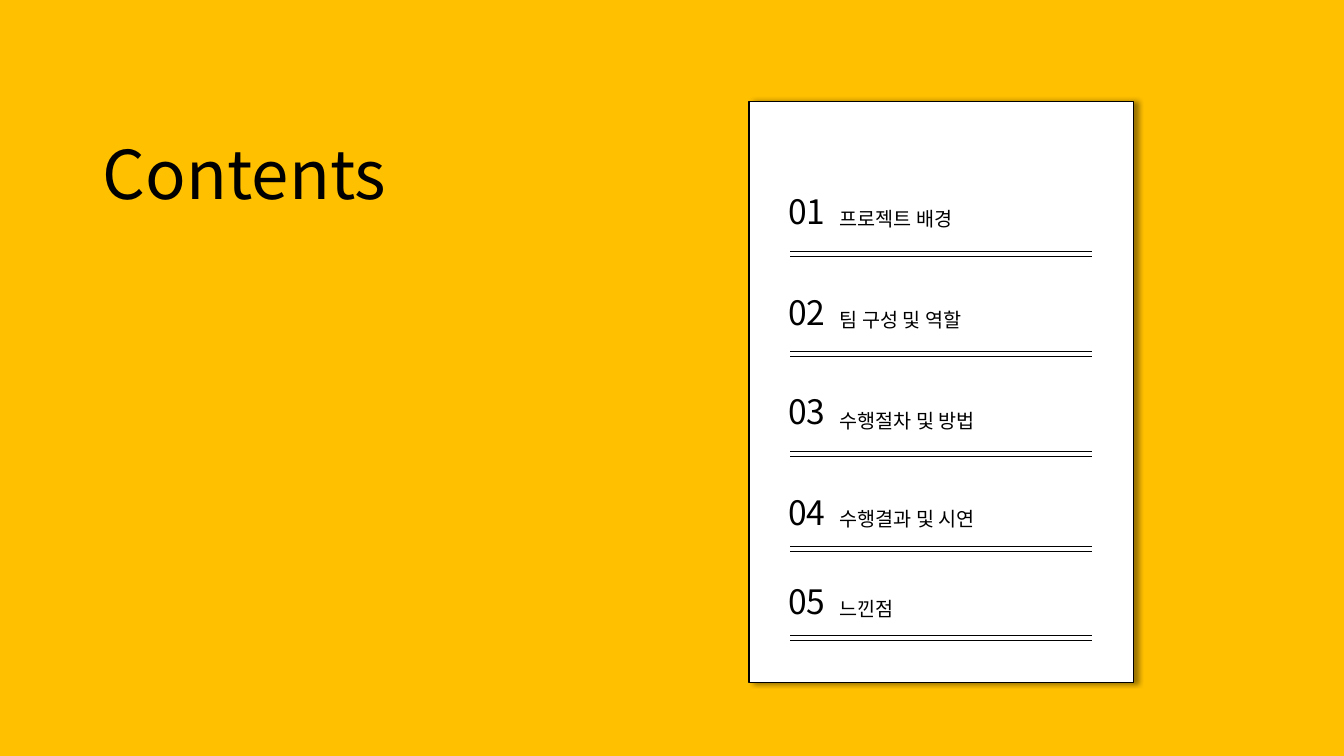
from lxml import etree
from pptx import Presentation
from pptx.dml.color import RGBColor
from pptx.enum import shapes, text
from pptx.oxml.ns import qn
from pptx.util import Inches, Pt

FONT = "Noto Sans CJK KR"
BLACK, WHITE, AMBER = "000000", "FFFFFF", "FFC000"
CARD = (7.43, 1.01, 3.81, 5.76)
ITEMS = [
    ("프로젝트 배경", 0.83, 0.16, 1.48),
    ("팀 구성 및 역할", 1.84, 0.16, 2.48),
    ("수행절차 및 방법", 2.82, 0.18, 3.47),
    ("수행결과 및 시연", 3.82, 0.15, 4.41),
    ("느낀점", 4.7, 0.16, 5.29),
]
RULE_GAP = 0.05


def color(value):
    return RGBColor.from_string(value)


def write(box, words, size, wrap=True):
    frame = box.text_frame
    frame.word_wrap = wrap
    frame.auto_size = text.MSO_AUTO_SIZE.SHAPE_TO_FIT_TEXT
    frame.vertical_anchor = text.MSO_ANCHOR.TOP
    para = frame.paragraphs[0]
    para.alignment = text.PP_ALIGN.LEFT
    span = para.add_run()
    span.text = words
    span.font.size = Pt(size)
    span.font.color.rgb = color(BLACK)
    span.font.name = FONT
    etree.SubElement(span.font._element, qn("a:ea"), typeface=FONT)


def add_title(page, left, top, width, height):
    title = page.shapes.title
    title.left, title.top = Inches(left), Inches(top)
    title.width, title.height = Inches(width), Inches(height)
    write(title, "Contents", 48, wrap=False)


def add_card(page, left, top, width, height):
    card = page.shapes.add_shape(
        shapes.MSO_SHAPE.RECTANGLE,
        Inches(left), Inches(top), Inches(width), Inches(height))
    card.fill.solid()
    card.fill.fore_color.rgb = color(WHITE)
    card.line.color.rgb = color(BLACK)
    card.line.width = Pt(1)
    card.shadow.inherit = False
    effects = card._element.spPr.find(qn("a:effectLst"))
    shadow = etree.SubElement(
        effects, qn("a:outerShdw"), blurRad=str(Pt(4)), dist=str(Pt(3)),
        dir="0", algn="l", rotWithShape="0")
    tint = etree.SubElement(shadow, qn("a:srgbClr"), val=BLACK)
    etree.SubElement(tint, qn("a:alpha"), val="40000")


def add_rule(group, left, top, width):
    rule = group.shapes.add_connector(
        shapes.MSO_CONNECTOR.STRAIGHT,
        Inches(left), Inches(top), Inches(left + width), Inches(top))
    rule.line.color.rgb = color(BLACK)
    rule.line.width = Pt(0.5)
    etree.SubElement(rule._element.spPr, qn("a:effectLst"))


def add_items(page, left, top, width, height):
    for index, (words, number_top, label_drop, rule_top) in enumerate(ITEMS, 1):
        entry = page.shapes.add_group_shape()
        row = top + number_top
        label = entry.shapes.add_textbox(
            Inches(left + 0.8), Inches(row + label_drop), Inches(3.64), Inches(0.34))
        write(label, words, 14)
        number = entry.shapes.add_textbox(
            Inches(left + 0.29), Inches(row), Inches(0.73), Inches(0.5))
        write(number, f"{index:02}", 24)
        rules = page.shapes.add_group_shape()
        for offset in (0, RULE_GAP):
            add_rule(rules, left + 0.41, top + rule_top + offset, width - 0.82)


def main():
    deck = Presentation()
    deck.slide_width, deck.slide_height = Inches(13.33), Inches(7.5)
    page = deck.slides.add_slide(deck.slide_layouts.get_by_name("Title Only"))
    page.background.fill.solid()
    page.background.fill.fore_color.rgb = color(AMBER)
    add_title(page, 0.92, 1.26, 3.42, 0.91)
    add_card(page, *CARD)
    add_items(page, *CARD)
    deck.save("out.pptx")


if __name__ == "__main__":
    main()
